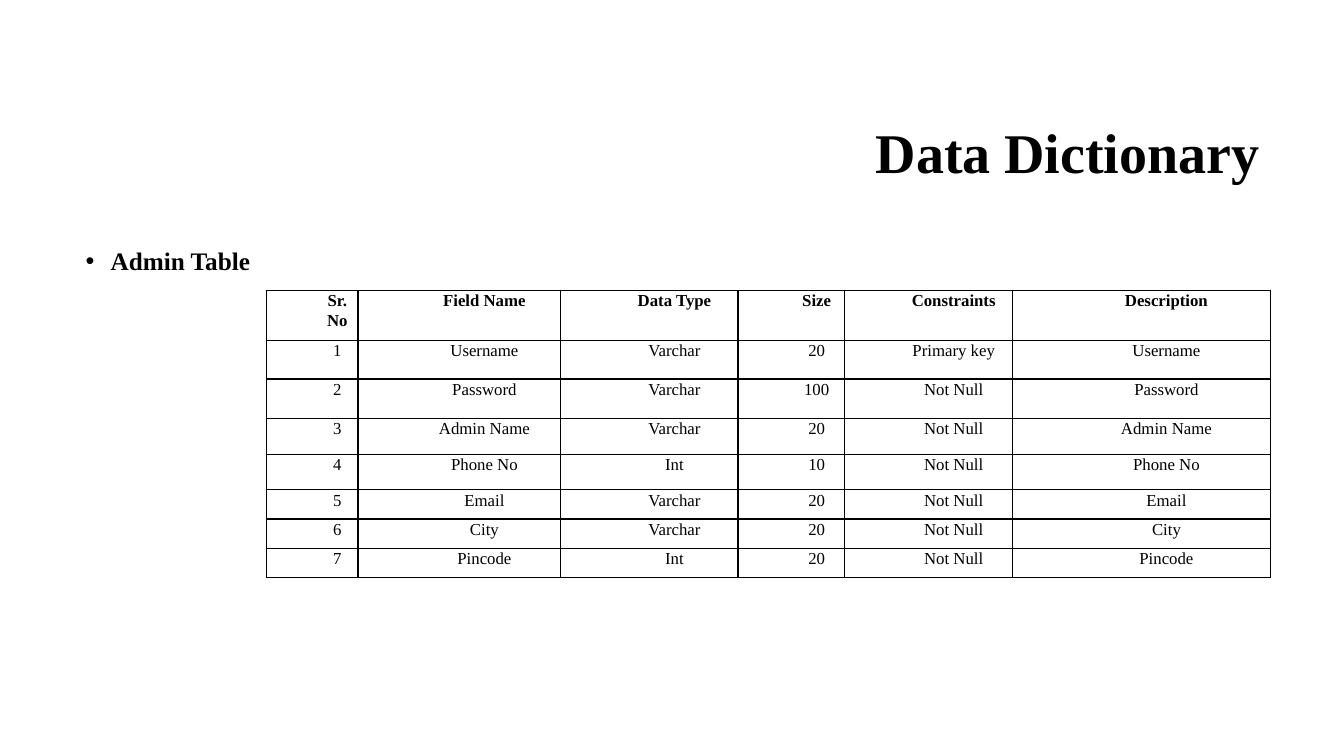
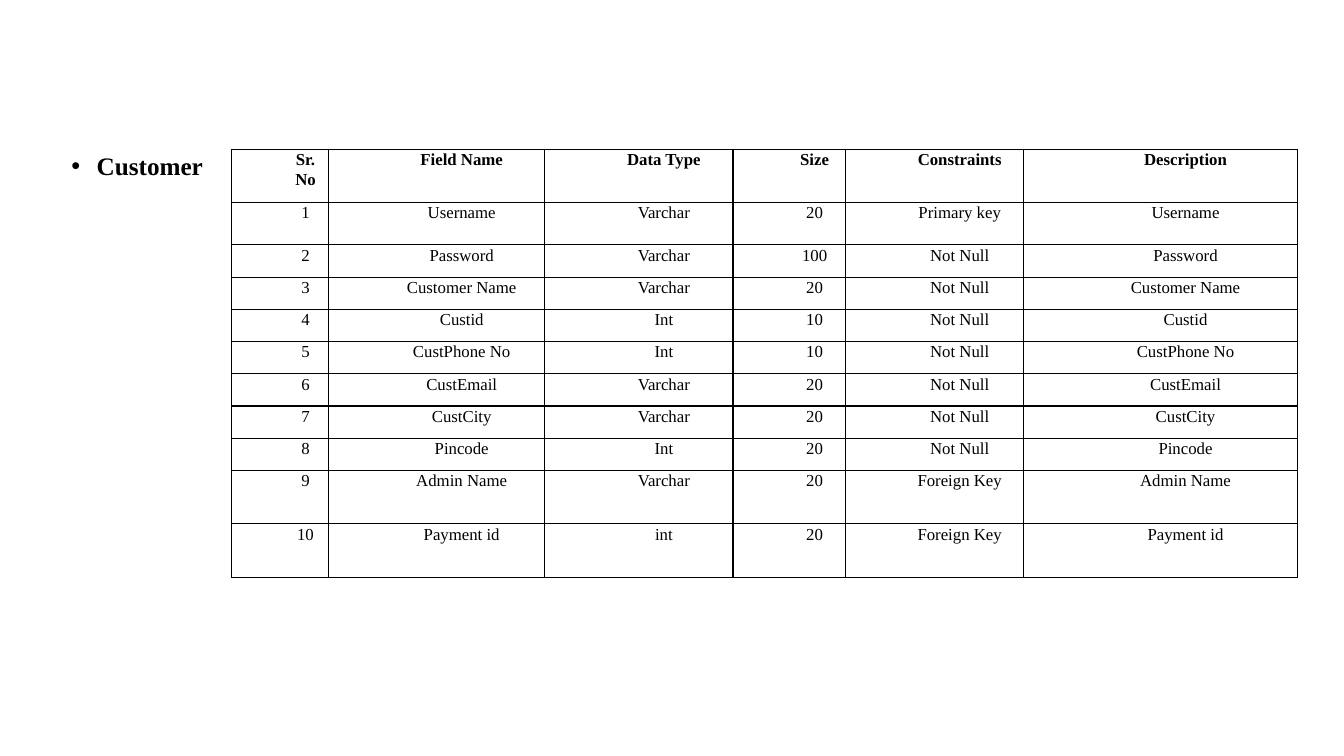
import dataclasses

import lxml.etree
import pptx
import pptx.dml.color
import pptx.enum.text
import pptx.oxml.ns
import pptx.util

Inches = pptx.util.Inches
ALIGN = pptx.enum.text.PP_ALIGN
qn = pptx.oxml.ns.qn


@dataclasses.dataclass(frozen=True)
class Theme:
    face: str = "Times New Roman"
    ink: str = "000000"
    paper: str = "FFFFFF"
    title: int = 40
    label: int = 18
    cell: int = 12
    rule: int = 1


theme = Theme()


def style(para, size, bold, spacing, align=ALIGN.LEFT):
    para.alignment = align
    para.line_spacing = spacing
    for run in para.runs:
        run.font.name = theme.face
        run.font.size = pptx.util.Pt(size)
        run.font.bold = bold
        run.font.color.rgb = pptx.dml.color.RGBColor.from_string(theme.ink)


def border(cell):
    """Rule all four sides of the cell; call before setting its fill."""
    props = cell._tc.get_or_add_tcPr()
    for side in ("lnL", "lnR", "lnT", "lnB"):
        line = lxml.etree.SubElement(
            props, qn("a:" + side), w=str(pptx.util.Pt(theme.rule)))
        fill = lxml.etree.SubElement(line, qn("a:solidFill"))
        lxml.etree.SubElement(fill, qn("a:srgbClr"), val=theme.ink)


heads = ["Sr. No", "Field Name", "Data Type", "Size", "Constraints", "Description"]

# Each field: name, data type, size, constraint
pages = [
    {
        "title": "Data Dictionary",
        "label": "Admin Table",
        "body": (0.75, 2.42, 11.83, 4.4),
        "origin": (2.64, 2.88),
        "inset": 0.07,
        "cols": [0.91, 2.01, 1.76, 1.06, 1.66, 2.56],
        "rows": [0.5, 0.38, 0.39, 0.36, 0.35] + [0.29] * 3,
        "fields": [
            ("Username", "Varchar", 20, "Primary key"),
            ("Password", "Varchar", 100, "Not Null"),
            ("Admin Name", "Varchar", 20, "Not Null"),
            ("Phone No", "Int", 10, "Not Null"),
            ("Email", "Varchar", 20, "Not Null"),
            ("City", "Varchar", 20, "Not Null"),
            ("Pincode", "Int", 20, "Not Null"),
        ],
    },
    {
        "title": None,
        "label": "Customer",
        "body": (0.61, 1.48, 11.98, 5.87),
        "origin": (2.3, 1.48),
        "inset": 0.06,
        "cols": [0.96, 2.14, 1.87, 1.12, 1.76, 2.72],
        "rows": [0.53, 0.42] + [0.32] * 7 + [0.53] * 2,
        "fields": [
            ("Username", "Varchar", 20, "Primary key"),
            ("Password", "Varchar", 100, "Not Null"),
            ("Customer Name", "Varchar", 20, "Not Null"),
            ("Custid", "Int", 10, "Not Null"),
            ("CustPhone No", "Int", 10, "Not Null"),
            ("CustEmail", "Varchar", 20, "Not Null"),
            ("CustCity", "Varchar", 20, "Not Null"),
            ("Pincode", "Int", 20, "Not Null"),
            ("Admin Name", "Varchar", 20, "Foreign Key"),
            ("Payment id", "int", 20, "Foreign Key"),
        ],
    },
]

deck = pptx.Presentation()
deck.slide_width = Inches(13.33)
deck.slide_height = Inches(7.5)
ground = deck.slide_master.background.fill
ground.solid()
ground.fore_color.rgb = pptx.dml.color.RGBColor.from_string(theme.paper)

for page in pages:
    slide = deck.slides.add_slide(deck.slide_layouts[6])

    if page["title"]:
        frame = slide.shapes.add_textbox(
            Inches(3.17), Inches(0.84), Inches(9.42), Inches(1.41)).text_frame
        frame.word_wrap = True
        frame.vertical_anchor = pptx.enum.text.MSO_ANCHOR.MIDDLE
        frame.text = page["title"]
        style(frame.paragraphs[0], theme.title, True, 0.9, ALIGN.RIGHT)

    frame = slide.shapes.add_textbox(*map(Inches, page["body"])).text_frame
    frame.word_wrap = True
    frame.text = page["label"]
    para = frame.paragraphs[0]
    props = para._p.get_or_add_pPr()
    props.set("marL", str(Inches(0.25)))
    props.set("indent", str(Inches(-0.25)))
    lxml.etree.SubElement(props, qn("a:buFont"), typeface="Arial")
    lxml.etree.SubElement(props, qn("a:buChar"), char="•")
    style(para, theme.label, True, 0.9)

    grid = [heads]
    for number, field in enumerate(page["fields"], 1):
        grid.append([number, *field, field[0]])

    left, top = page["origin"]
    table = slide.shapes.add_table(
        len(grid), len(heads), Inches(left), Inches(top),
        Inches(sum(page["cols"])), Inches(sum(page["rows"]))).table
    table.first_row = table.horz_banding = False
    for col, width in zip(table.columns, page["cols"]):
        col.width = Inches(width)
    for row, height in zip(table.rows, page["rows"]):
        row.height = Inches(height)

    for r, values in enumerate(grid):
        for c, value in enumerate(values):
            cell = table.cell(r, c)
            cell.margin_left = cell.margin_right = Inches(page["inset"])
            cell.margin_top = cell.margin_bottom = 0
            border(cell)
            cell.fill.background()
            cell.text_frame.text = str(value)
            para = cell.text_frame.paragraphs[0]
            para._p.get_or_add_pPr().set("marL", str(Inches(0.5)))
            style(para, theme.cell, r == 0, 1.07, ALIGN.CENTER)

deck.save("out.pptx")
